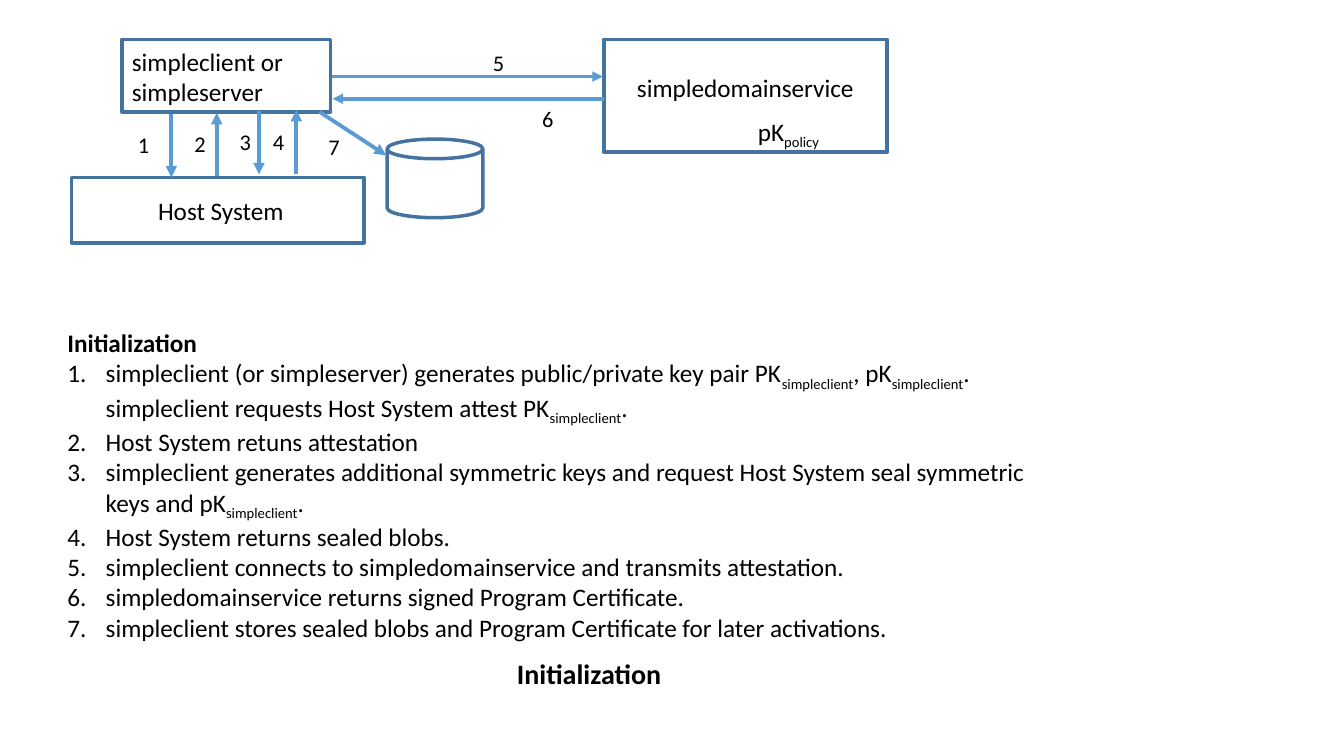
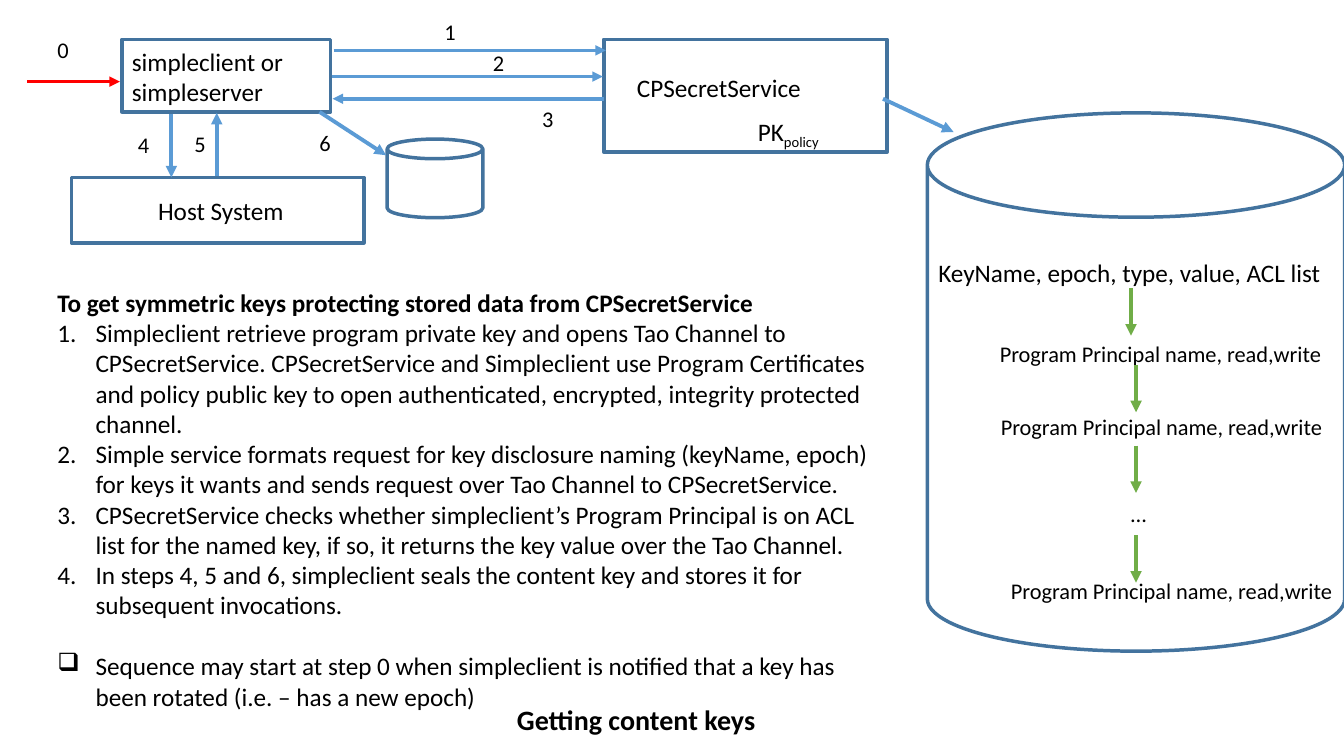
from lxml import etree
from pptx import Presentation
from pptx.dml.color import RGBColor
from pptx.enum.shapes import MSO_CONNECTOR as CONN, MSO_SHAPE as SHAPE
from pptx.enum.text import MSO_AUTO_SIZE as FIT
from pptx.oxml.ns import qn
from pptx.util import Inches, Pt

# The slide is a grid of 133.33 columns by 75 rows.
COLS, ROWS = 133.33, 75
CELL = Inches(0.1)
OUTLINE, BLUE, RED, GREEN, INK = "43739E", "5B9BD5", "FF0000", "70AD47", "000000"

BODY = {"name": "Calibri", "size": Pt(18), "bold": False}
SMALL = {**BODY, "size": Pt(16)}
HEADING = {**BODY, "bold": True}
CAPTION = {**HEADING, "size": Pt(20)}
INDENT = Inches(0.38)
GAP = Pt(22)

INIT_STEPS = [
    "simpleclient (or simpleserver) generates public/private key pair PK~simpleclient~, "
    "pK~simpleclient~. simpleclient requests Host System attest PK~simpleclient~.",
    "Host System retuns attestation",
    "simpleclient generates additional symmetric keys and request Host System seal "
    "symmetric keys and pK~simpleclient~.",
    "Host System returns sealed blobs.",
    "simpleclient connects to simpledomainservice and transmits attestation.",
    "simpledomainservice returns signed Program Certificate.",
    "simpleclient stores sealed blobs and Program Certificate for later activations.",
]
KEY_STEPS = [
    "Simpleclient retrieve program private key and opens Tao Channel to CPSecretService. "
    "CPSecretService and Simpleclient use Program Certificates and policy public key to "
    "open authenticated, encrypted, integrity protected channel.",
    "Simple service formats request for key disclosure naming (keyName, epoch) for keys "
    "it wants and sends request over Tao Channel to CPSecretService.",
    "CPSecretService checks whether simpleclient’s Program Principal is on ACL list for "
    "the named key, if so, it returns the key value over the Tao Channel.",
    "In steps 4, 5 and 6, simpleclient seals the content key and stores it for "
    "subsequent invocations.",
]
KEY_NOTE = ("Sequence may start at step 0 when simpleclient is notified that a key has "
            "been rotated (i.e. – has a new epoch)")


def rgb(value):
    return RGBColor.from_string(value)


def grid(*cells):
    return [round(n * CELL) for n in cells]


def outline(s, kind, *box):
    sp = s.shapes.add_shape(kind, *grid(*box))
    sp.shadow.inherit = False
    sp.fill.background()
    sp.line.color.rgb = rgb(OUTLINE)
    sp.line.width = Pt(2.5)


def arrow(s, x1, y1, x2, y2, color=BLUE, width=2.75):
    line = s.shapes.add_connector(CONN.STRAIGHT, *grid(x1, y1, x2, y2))
    line.line.color.rgb = rgb(color)
    line.line.width = Pt(width)
    etree.SubElement(line.line._get_or_add_ln(), qn("a:tailEnd"), type="triangle")
    etree.SubElement(line._element.spPr, qn("a:effectLst"))


def write(p, text, fmt):
    """Add runs to a paragraph; text between tildes is subscript."""
    for i, piece in enumerate(text.split("~")):
        r = p.add_run()
        r.text = piece
        for name, value in fmt.items():
            setattr(r.font, name, value)
        r.font.color.rgb = rgb(INK)
        if i % 2:
            r._r.get_or_add_rPr().set("baseline", "-25000")


def text_box(s, x, y, w, h, lines, fmt=BODY, wrap=True):
    tf = s.shapes.add_textbox(*grid(x, y, w, h)).text_frame
    tf.word_wrap = wrap
    tf.auto_size = FIT.SHAPE_TO_FIT_TEXT
    for i, line in enumerate(lines):
        write(tf.add_paragraph() if i else tf.paragraphs[0], line, fmt)
    return tf


def add_item(tf, text, tag, **bullet):
    """Add a hanging paragraph whose bullet is the given XML tag."""
    p = tf.add_paragraph()
    write(p, text, BODY)
    pPr = p._p.get_or_add_pPr()
    pPr.set("marL", str(INDENT))
    pPr.set("indent", str(-INDENT))
    etree.SubElement(pPr, qn(tag), **bullet)


def steps(s, x, y, w, h, heading, items, note=None):
    tf = text_box(s, x, y, w, h, [heading], HEADING)
    for item in items:
        add_item(tf, item, "a:buAutoNum", type="arabicPeriod")
    if note:
        tf.paragraphs[-1].space_after = GAP
        add_item(tf, note, "a:buChar", char="❑")


def step_numbers(s, places):
    for number, (x, y) in places.items():
        text_box(s, x, y, 4.8, 3.7, [str(number)], SMALL)


def diagram(prs, service, key, caption, caption_y):
    """Start a slide with the client, host, service and store they all share."""
    s = prs.slides.add_slide(prs.slide_layouts[6])
    outline(s, SHAPE.RECTANGLE, 7.1, 17.6, 29, 6.5)
    text_box(s, 14.7, 18.9, 17.4, 4, ["Host System"])
    outline(s, SHAPE.RECTANGLE, 12.1, 3.9, 20.7, 7.2)
    text_box(s, 12.1, 4.1, 24, 7.1, ["simpleclient or", "simpleserver"])
    outline(s, SHAPE.RECTANGLE, 59.9, 3.9, 28.1, 11.2)
    text_box(s, 62.2, 6.7, 24.8, 4, [service])
    text_box(s, 74.2, 11, 8.6, 4, [key + "~policy"], wrap=False)
    outline(s, SHAPE.CAN, 38.4, 13.8, 9.5, 7.8)
    arrow(s, 17, 11.3, 17, 17.6)
    arrow(s, 21.5, 17.5, 21.5, 11.2)
    arrow(s, 32.9, 7.6, 59.8, 7.6, width=2.5)
    arrow(s, 59.9, 9.8, 33, 9.8, width=2.5)
    arrow(s, 31.7, 11.1, 38.3, 15.4)
    text_box(s, 50.3, caption_y, 30, 4.4, [caption], CAPTION)
    return s


def initialization_slide(prs):
    s = diagram(prs, "simpledomainservice", "pK", "Initialization", 64.6)
    arrow(s, 25.7, 11, 25.7, 17.3)
    arrow(s, 29.4, 17.3, 29.4, 10.9)
    step_numbers(s, {1: (12.7, 12.5), 2: (18.3, 12.4), 3: (22.8, 12.2), 4: (26.1, 12.2),
                     5: (47.9, 4.4), 6: (52.8, 9.9), 7: (31.6, 12.7)})
    steps(s, 5.7, 32, 100.1, 33.3, "Initialization", INIT_STEPS)


def content_keys_slide(prs):
    s = diagram(prs, "CPSecretService", "PK", "Getting content keys", 69.2)
    arrow(s, 2.7, 8.1, 11.9, 8.1, RED, 2.5)
    arrow(s, 33.1, 5, 60.1, 5, width=2.5)
    arrow(s, 87.6, 9.8, 94.6, 13.1)
    step_numbers(s, {0: (4.7, 3.1), 1: (43.1, 1.3), 2: (47.9, 4.4), 3: (52.8, 9.9),
                     4: (12.7, 12.5), 5: (18.3, 12.4), 6: (30.7, 12.3)})
    steps(s, 4.7, 28, 83.6, 45.4,
          "To get symmetric keys protecting stored data from CPSecretService",
          KEY_STEPS, KEY_NOTE)
    key_store(s)


def key_store(s):
    outline(s, SHAPE.CAN, 92, 11.2, 41.4, 53.4)
    text_box(s, 92.1, 25, 40.4, 4, ["KeyName, epoch, type, value, ACL list"], wrap=False)
    for x, y in ((98.2, 33.3), (98.3, 40.5), (99.3, 56.8)):
        text_box(s, x, y, 34.3, 3.7, ["Program Principal name, read,write"], SMALL, False)
    text_box(s, 111.2, 49.1, 3.7, 3.7, ["…"], SMALL, False)
    for x, y in ((112.2, 28.6), (112.7, 36.2), (112.7, 44.2), (112.7, 53.1)):
        arrow(s, x, y, x, y + 4.7, GREEN)


def main():
    prs = Presentation()
    prs.slide_width, prs.slide_height = grid(COLS, ROWS)
    initialization_slide(prs)
    content_keys_slide(prs)
    prs.save("out.pptx")


if __name__ == "__main__":
    main()
